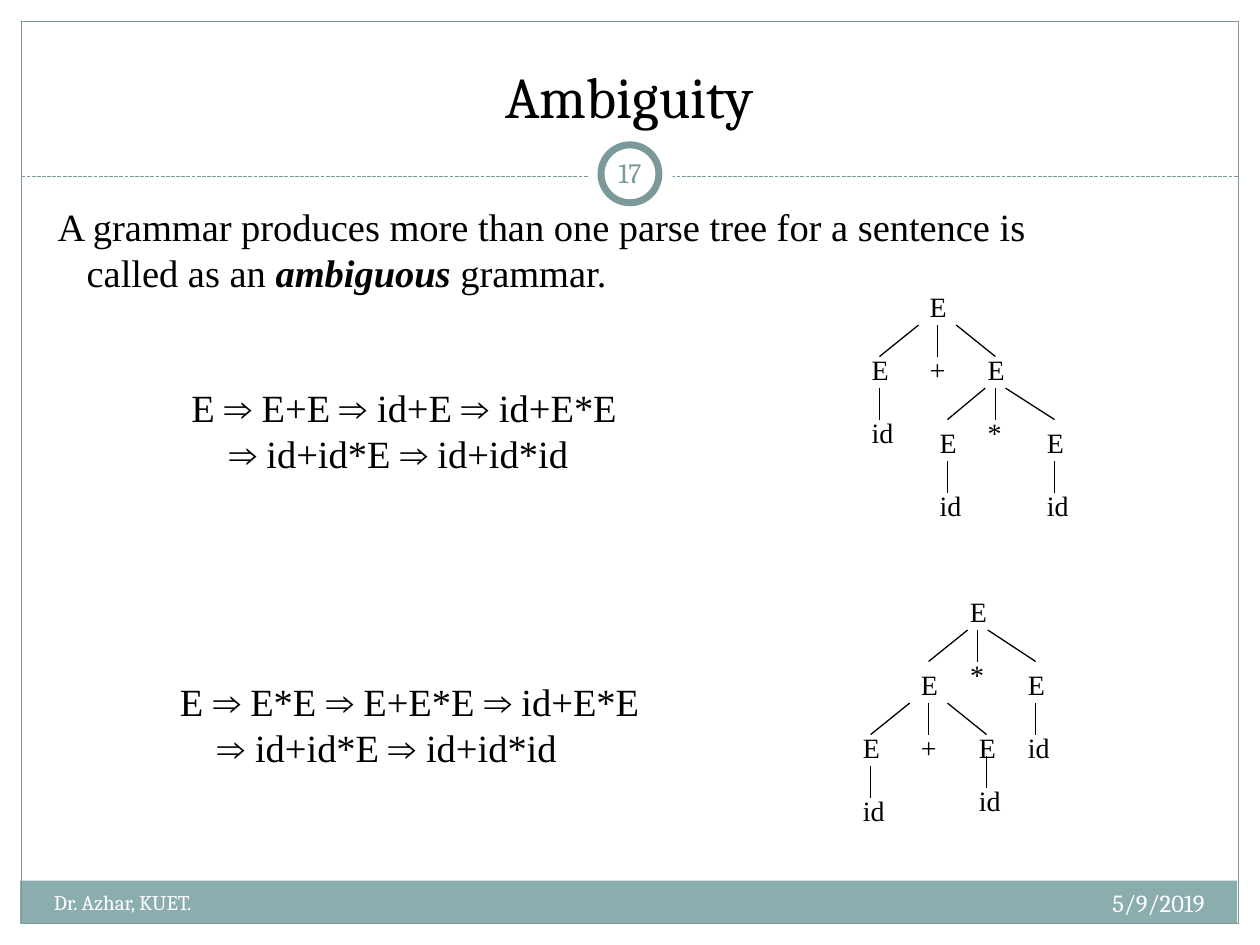
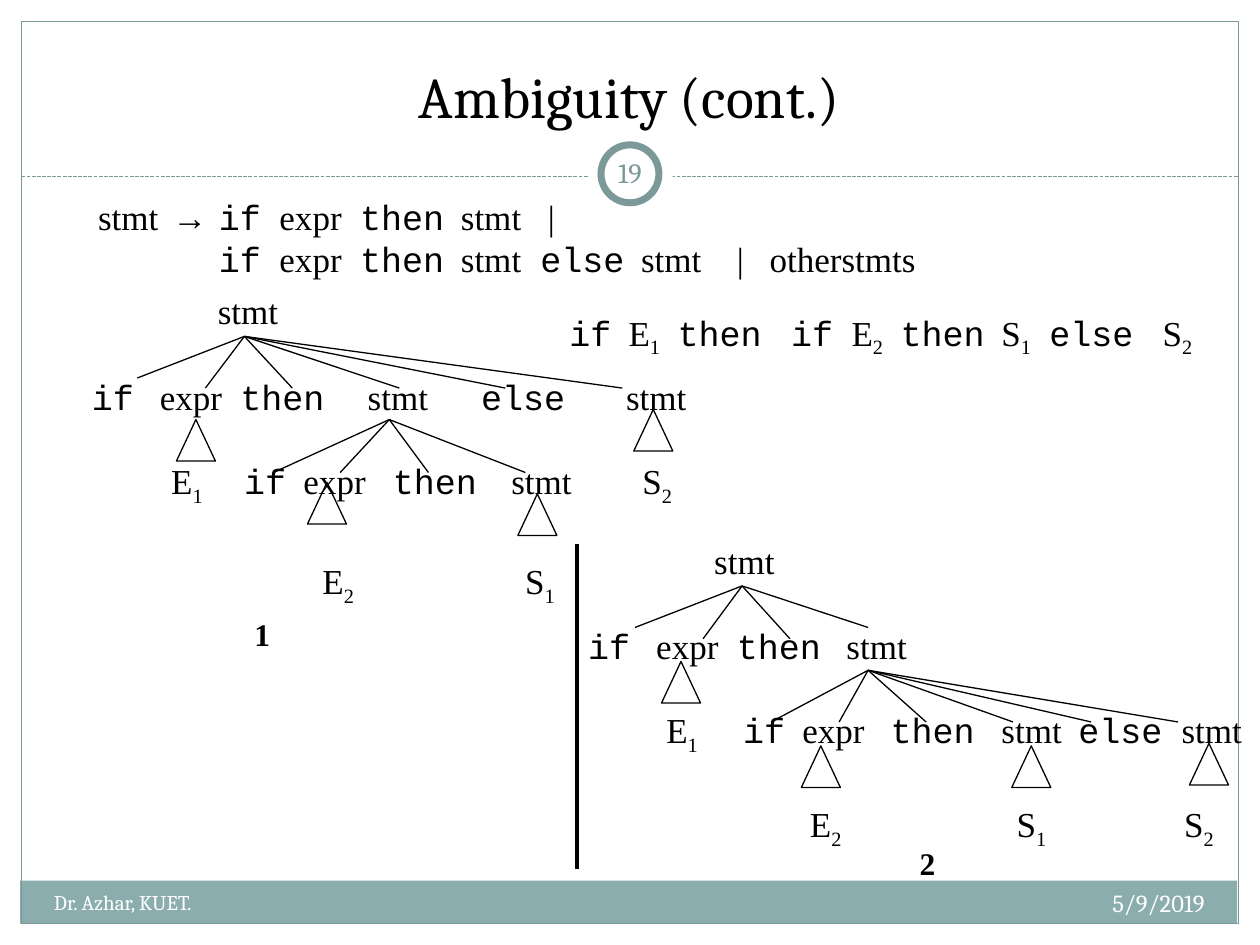
"""Build two slides on ambiguous grammars with their parse trees."""
from dataclasses import dataclass

from lxml.etree import SubElement
from pptx import Presentation
from pptx.dml.color import RGBColor
from pptx.enum.dml import MSO_LINE_DASH_STYLE as DASH
from pptx.enum.shapes import MSO_CONNECTOR, MSO_SHAPE as SHAPE
from pptx.enum.text import MSO_ANCHOR as ANCHOR, MSO_AUTO_SIZE as AUTO, PP_ALIGN as ALIGN
from pptx.oxml.ns import qn
from pptx.util import Pt

PX = 9144
BLACK, WHITE, TEAL, BAND = "000000", "FFFFFF", "7C999A", "8CADAE"
HEAD, BODY, CODE = "Cambria", "Times New Roman", "Courier New"
KEYWORDS = {"if", "then", "else"}
WIDTHS = {"E": 34, "id": 38, "+": 33, "*": 31}


@dataclass(frozen=True)
class Node:
    text: str
    x: int
    y: int
    children: tuple["Node", ...] = ()
    spread: int = 15


@dataclass(frozen=True)
class Row:
    words: str
    xs: tuple[int, ...]
    before: int = 0


@dataclass(frozen=True)
class Block:
    box: tuple[int, int, int, int]
    rows: tuple[Row, ...]


@dataclass(frozen=True)
class Fan:
    apex: tuple[int, int]
    ends: tuple[tuple[int, int], ...]


@dataclass(frozen=True)
class Derivation:
    box: tuple[int, int, int, int]
    first: str
    second: str


SUM_TREE = Node("E", 728, 225, (
    Node("E", 682, 275, (Node("id", 682, 325),)),
    Node("+", 728, 275),
    Node("E", 774, 275, (
        Node("E", 736, 333, (Node("id", 736, 383),)),
        Node("*", 774, 325),
        Node("E", 821, 333, (Node("id", 821, 383),)),
    ), 8),
))
PRODUCT_TREE = Node("E", 760, 467, (
    Node("E", 721, 525, (
        Node("E", 675, 575, (Node("id", 675, 625),)),
        Node("+", 721, 575),
        Node("E", 767, 575, (Node("id", 767, 617),)),
    )),
    Node("*", 760, 517),
    Node("E", 806, 525, (Node("id", 806, 575),)),
), 8)
DERIVATIONS = (
    Derivation((142, 300, 395, 84), "E ⇒ E+E ⇒ id+E ⇒ id+E*E", "⇒ id+id*E ⇒ id+id*id"),
    Derivation((133, 533, 422, 84), "E ⇒ E*E ⇒ E+E*E ⇒ id+E*E", "⇒ id+id*E ⇒ id+id*id"),
)

BLOCKS = (
    Block((68, 150, 674, 77), (
        Row("stmt → if expr then stmt |", (78, 137, 174, 222, 286, 366, 435)),
        Row("if expr then stmt else stmt | otherstmts",
            (174, 222, 286, 366, 429, 509, 585, 611)),
    )),
    Block((442, 242, 524, 44), (
        Row("if E1 then if E2 then S1 else S2",
            (452, 499, 538, 628, 676, 715, 795, 833, 923)),
    )),
    Block((63, 225, 495, 235), (
        Row("stmt", (173,)),
        Row("if expr then stmt else stmt", (73, 127, 191, 292, 382, 497), 25),
        Row("E1 if expr then stmt S2", (136, 194, 241, 312, 406, 510), 24),
        Row("E2 S1", (256, 417), 30),
    )),
    Block((457, 423, 543, 302), (
        Row("stmt", (567,)),
        Row("if expr then stmt", (467, 521, 585, 672), 25),
        Row("E1 if expr then stmt else stmt", (529, 590, 637, 707, 795, 856, 938), 24),
        Row("E2 S1 S2", (643, 807, 940), 26),
    )),
)
FANS = (
    Fan((194, 267), ((109, 300), (163, 308), (232, 308), (317, 308), (401, 308), (494, 308))),
    Fan((309, 333), ((217, 375), (270, 375), (340, 375), (417, 375))),
    Fan((589, 465), ((504, 498), (558, 507), (627, 507), (689, 498))),
    Fan((689, 532), ((612, 573), (666, 573), (735, 573), (804, 573), (866, 573), (935, 573))),
)
TRIANGLES = ((140, 333), (244, 383), (411, 392), (503, 325),
             (944, 590), (803, 592), (636, 592), (525, 525))


def emu(*lengths: int) -> tuple[int, ...]:
    return tuple(n * PX for n in lengths)


def rgb(color: str) -> RGBColor:
    return RGBColor.from_string(color)


def set_font(font, size: float, name: str | None = BODY, color: str = BLACK) -> None:
    font.size = Pt(size)
    font.color.rgb = rgb(color)
    if name:
        font.name = name


def add_box(s, box: tuple[int, int, int, int], wrap: bool = True):
    tf = s.shapes.add_textbox(*emu(*box)).text_frame
    tf.word_wrap = wrap
    return tf


def add_label(s, box: tuple[int, int, int, int], text: str, size: float, name: str = BODY,
              color: str = BLACK, align=ALIGN.LEFT, wrap: bool = False):
    tf = add_box(s, box, wrap)
    p = tf.paragraphs[0]
    p.text, p.alignment = text, align
    set_font(p.font, size, name, color)
    return tf


def add_shape(s, kind, box: tuple[int, int, int, int], fill: str | None = None,
              line: str | None = None, width: float = 0.75) -> None:
    sp = s.shapes.add_shape(kind, *emu(*box))
    sp.shadow.inherit = False
    if fill:
        sp.fill.solid()
        sp.fill.fore_color.rgb = rgb(fill)
    else:
        sp.fill.background()
    if line:
        sp.line.color.rgb = rgb(line)
        sp.line.width = Pt(width)
    else:
        sp.line.fill.background()


def add_line(s, start: tuple[int, int], end: tuple[int, int], color: str = BLACK,
             width: float = 0.75, dash=None) -> None:
    c = s.shapes.add_connector(MSO_CONNECTOR.STRAIGHT, *emu(*start, *end))
    c.line.color.rgb = rgb(color)
    c.line.width = Pt(width)
    if dash:
        c.line.dash_style = dash
    SubElement(c._element.spPr, qn("a:effectLst"))


def add_slide(prs, title: str, number: str):
    s = prs.slides.add_slide(prs.slide_layouts[5])
    add_shape(s, SHAPE.RECTANGLE, (16, 699, 966, 34), BAND)
    add_shape(s, SHAPE.RECTANGLE, (17, 17, 966, 716), line=TEAL)
    add_line(s, (17, 140), (983, 140), TEAL, dash=DASH.SQUARE_DOT)
    add_shape(s, SHAPE.OVAL, (467, 105, 67, 67), WHITE)
    add_shape(s, SHAPE.OVAL, (477, 115, 46, 46), line=TEAL, width=4)
    sp = s.shapes.title
    sp.left, sp.top, sp.width, sp.height = emu(33, 25, 933, 83)
    tf = sp.text_frame
    tf.auto_size, tf.vertical_anchor = AUTO.NONE, ANCHOR.BOTTOM
    p = tf.paragraphs[0]
    p.text, p.alignment = title, ALIGN.CENTER
    set_font(p.font, 33, HEAD)
    add_label(s, (633, 700, 333, 40), "5/9/2019", 14, HEAD, WHITE, ALIGN.RIGHT, True)
    add_label(s, (33, 701, 392, 40), "Dr. Azhar, KUET.", 12, HEAD, WHITE, wrap=True)
    tf = add_label(s, (475, 113, 50, 48), number, 16, HEAD, TEAL, ALIGN.CENTER, True)
    tf.vertical_anchor = ANCHOR.MIDDLE
    tf.margin_left = tf.margin_right = tf.margin_top = tf.margin_bottom = 5 * PX
    return s


def add_indented(tf, indent: int):
    p = tf.add_paragraph()
    p._p.get_or_add_pPr().set("marL", str(indent * PX))
    return p


def add_tree(s, node: Node) -> None:
    add_label(s, (node.x, node.y, WIDTHS[node.text], 37), node.text, 16)
    for child in node.children:
        shift = max(-node.spread, min(node.spread, child.x - node.x))
        top = min(child.y - 17, node.y + 33)
        add_line(s, (node.x + 16 + shift, top), (child.x + 16, top + 25))
        add_tree(s, child)


def add_row(p, row: Row, origin: int) -> None:
    tabs = SubElement(p._p.get_or_add_pPr(), qn("a:tabLst"))
    p.space_before = Pt(row.before)
    set_font(p.font, 20, None)
    for word, x in zip(row.words.split(), row.xs):
        tab = ""
        if x > origin:
            SubElement(tabs, qn("a:tab"), pos=str((x - origin) * PX), algn="l")
            tab = "\t"
        base = word.rstrip("12")
        r = p.add_run()
        r.text = tab + base
        r.font.name = CODE if word in KEYWORDS else BODY
        if base != word:
            r = p.add_run()
            r.text = word[len(base):]
            r.font.name = BODY
            r._r.get_or_add_rPr().set("baseline", "-25000")


def add_block(s, block: Block) -> None:
    tf = add_box(s, block.box)
    for i, row in enumerate(block.rows):
        p = tf.add_paragraph() if i else tf.paragraphs[0]
        add_row(p, row, block.box[0] + 10)


def build_ambiguity(prs) -> None:
    s = add_slide(prs, "Ambiguity", "17")
    tf = add_label(s, (36, 156, 891, 84),
                   "A grammar produces more than one parse tree for a sentence is", 22, wrap=True)
    p = add_indented(tf, 23)
    set_font(p.font, 22)
    for text in ("called as an ", "ambiguous", " grammar."):
        r = p.add_run()
        r.text = text
        r.font.bold = r.font.italic = text == "ambiguous"
    for d in DERIVATIONS:
        p = add_indented(add_label(s, d.box, d.first, 22), 30)
        p.text = d.second
        set_font(p.font, 22)
    for tree in (SUM_TREE, PRODUCT_TREE):
        add_tree(s, tree)


def build_dangling_else(prs) -> None:
    s = add_slide(prs, "Ambiguity (cont.)", "19")
    for block in BLOCKS:
        add_block(s, block)
    for fan in FANS:
        for end in fan.ends:
            add_line(s, fan.apex, end)
    for x, y in TRIANGLES:
        add_shape(s, SHAPE.ISOSCELES_TRIANGLE, (x, y, 31, 33), line=BLACK)
    add_line(s, (458, 432), (458, 690), width=2.25)
    for number, x, y in (("1", 192, 483), ("2", 720, 665)):
        add_label(s, (x, y, 33, 40), number, 18).paragraphs[0].font.bold = True


def main() -> None:
    prs = Presentation()
    prs.slide_width, prs.slide_height = emu(1000, 750)
    build_ambiguity(prs)
    build_dangling_else(prs)
    prs.save("out.pptx")


if __name__ == "__main__":
    main()
